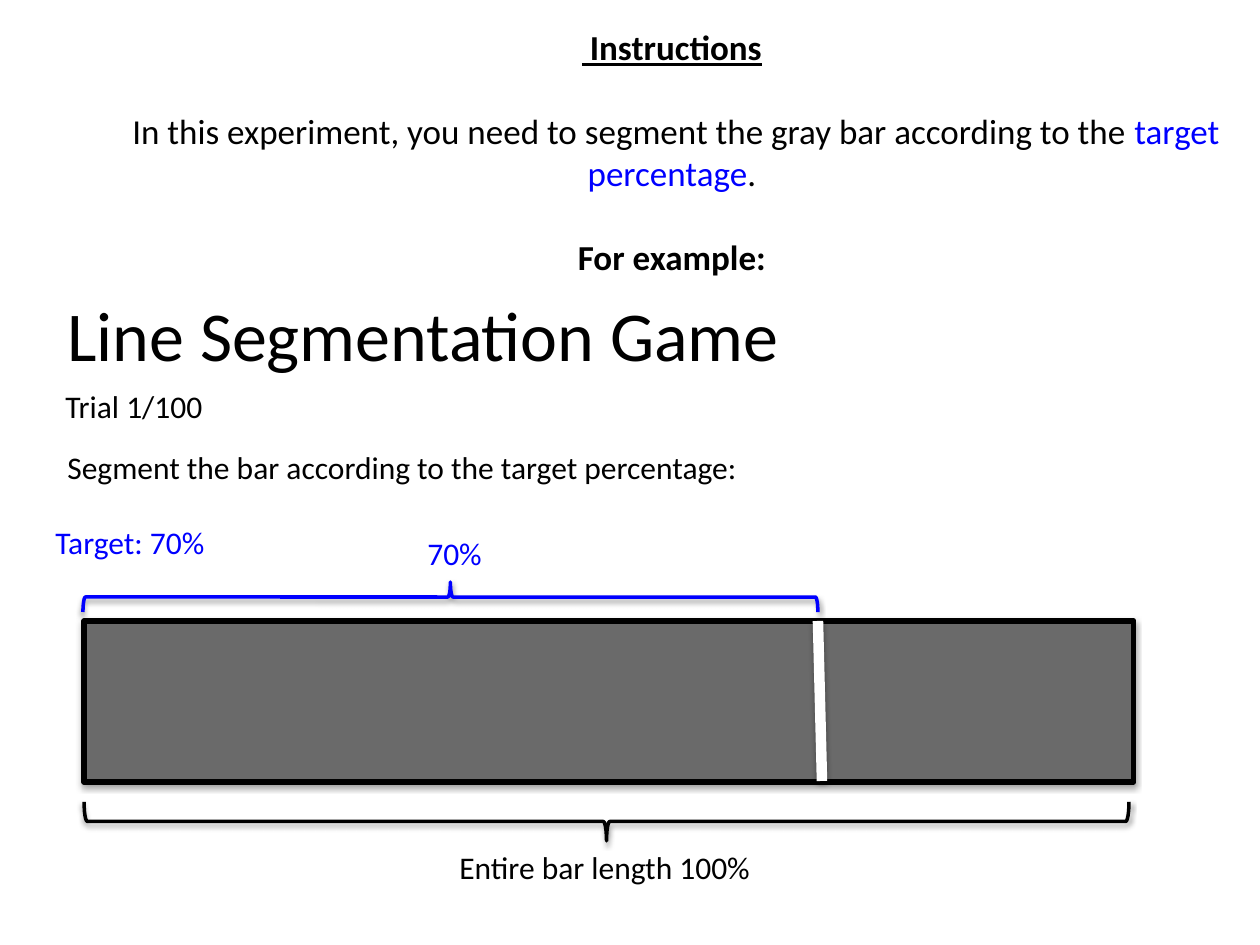
from pptx import Presentation
from pptx import util as u
from pptx.dml.color import RGBColor
from pptx.enum import shapes, text

SCALE = 914400 // 126
COLORS = {"ink": "000000", "target": "0000FF", "bar": "6A6A6A", "cut": "FFFFFF"}


def px(*lengths):
    return [u.Emu(round(length * SCALE)) for length in lengths]


def rgb(name):
    return RGBColor.from_string(COLORS[name])


def style(font, size, color="ink"):
    font.name = "Calibri"
    font.size = u.Pt(size)
    font.color.rgb = rgb(color)


def outline(line, color, width):
    line.color.rgb = rgb(color)
    line.width = u.Pt(width)


def add_label(slide, box, words, size=18, color="ink"):
    frame = slide.shapes.add_textbox(*px(*box)).text_frame
    frame.word_wrap = True
    label = frame.paragraphs[0]
    label.text = words
    style(label.font, size, color)


def add_instructions(slide, box):
    frame = slide.shapes.add_textbox(*px(*box)).text_frame
    frame.word_wrap = True
    frame.vertical_anchor = text.MSO_ANCHOR.BOTTOM
    frame.margin_bottom = px(16)[0]
    heading = frame.paragraphs[0]
    task, example = frame.add_paragraph(), frame.add_paragraph()
    for paragraph in (heading, task, example):
        paragraph.alignment = text.PP_ALIGN.CENTER
        style(paragraph.font, 20)
    for paragraph in (task, example):
        paragraph.space_before = u.Pt(24)

    heading.text = " Instructions"
    heading.font.bold = heading.font.underline = True
    task.add_run().text = (
        " In this experiment, you need to segment the gray bar according to the "
    )
    target = task.add_run()
    target.text = "target percentage"
    target.font.color.rgb = rgb("target")
    task.add_run().text = "."
    example.text = "For example:"
    example.font.bold = True


def add_brace(slide, box, color, rotation):
    left, top, width, height = box
    shift = (width - height) / 2
    brace = slide.shapes.add_shape(
        shapes.MSO_SHAPE.RIGHT_BRACE, *px(left + shift, top - shift, height, width)
    )
    brace.rotation = rotation
    brace.fill.background()
    outline(brace.line, color, 2)
    brace._element.xpath(".//a:effectRef")[0].set("idx", "1")


def add_trial(slide, left, top):
    add_label(slide, (left, top, 793, 97), "Line Segmentation Game", 40)
    add_label(slide, (left - 2, top + 96, 188, 50), "Trial 1/100")
    add_label(slide, (left, top + 157, 847, 50),
              "Segment the bar according to the target percentage:")
    add_label(slide, (left - 12, top + 232, 847, 50), "Target: 70%", color="target")


def add_segmented_bar(slide, box):
    left, top, width, height = box
    add_brace(slide, (left - 1, top - 39, width * 0.7, 30), "target", 270)
    add_brace(slide, (left, top + height + 20, width - 5, 39), "ink", 90)

    bar = slide.shapes.add_shape(shapes.MSO_SHAPE.RECTANGLE, *px(*box))
    bar.fill.solid()
    bar.fill.fore_color.rgb = rgb("bar")
    outline(bar.line, "ink", 3)

    add_label(slide, (left + 363, top + height + 60, 391, 50), "Entire bar length 100%")
    add_label(slide, (left + 331, top - 93, 252, 50), "70%", color="target")

    cut = slide.shapes.add_connector(
        shapes.MSO_CONNECTOR.STRAIGHT,
        *px(left + 734, top, left + 738, top + height - 1),
    )
    outline(cut.line, "cut", 6)


deck = Presentation()
deck.slide_width, deck.slide_height = px(1260, 945)
slide = deck.slides.add_slide(deck.slide_layouts[6])
add_instructions(slide, (84, 91, 1176, 203))
add_trial(slide, 55, 285)
add_segmented_bar(slide, (84, 621, 1050, 161))
deck.save("out.pptx")
